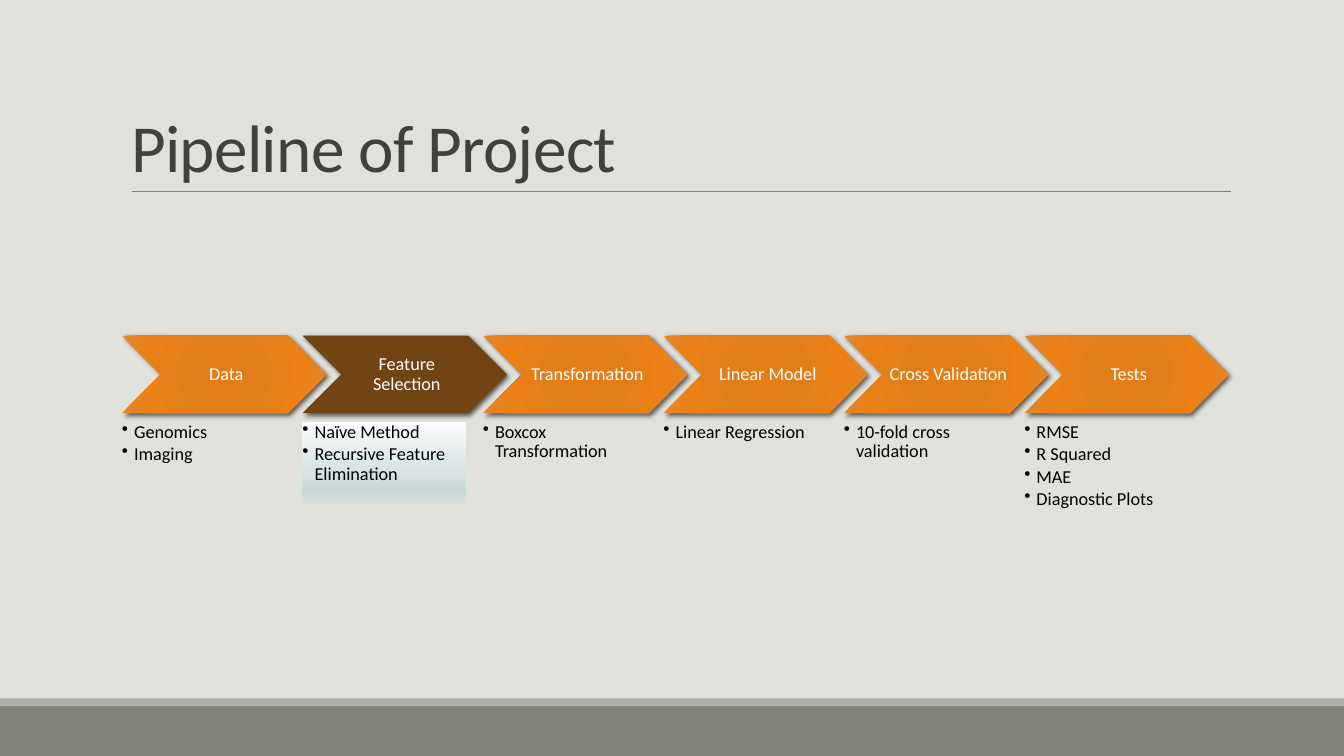
from lxml import etree
from pptx import Presentation
from pptx.dml.color import RGBColor
from pptx.enum.dml import MSO_FILL
from pptx.enum.shapes import MSO_CONNECTOR, MSO_SHAPE
from pptx.enum.text import MSO_ANCHOR, MSO_AUTO_SIZE, PP_ALIGN
from pptx.oxml.ns import nsdecls, qn
from pptx.oxml import parse_xml
from pptx.util import Pt

SCALE = 9144
RECT, CHEVRON = MSO_SHAPE.RECTANGLE, MSO_SHAPE.CHEVRON
LINE = MSO_CONNECTOR.STRAIGHT
TOP, MIDDLE, BOTTOM = MSO_ANCHOR.TOP, MSO_ANCHOR.MIDDLE, MSO_ANCHOR.BOTTOM
LEFT, CENTER = PP_ALIGN.LEFT, PP_ALIGN.CENTER
NO_FIT = MSO_AUTO_SIZE.NONE
SOLID = MSO_FILL.SOLID
FONT = "Calibri"

ORANGE = [(0, "E47D16"), (34, "E27E1A"), (70, "EA8016"), (100, "E48629")]
MIST = [(0, "FAFCFC"), (58, "D3E2E2"), (73, "C4D9D8"), (94, "E1E1DB")]
RADIAL = ('<a:path path="circle"><a:fillToRect l="100000" t="100000" '
          'r="100000" b="100000"/></a:path>')
DOWN = '<a:lin ang="5400000" scaled="0"/>'
SHADOW = ('<a:outerShdw {} blurRad="44450" dist="25400" dir="2700000" '
          'algn="br" rotWithShape="0"><a:srgbClr val="000000">'
          '<a:alpha val="60000"/></a:srgbClr></a:outerShdw>')

ACTIVE = "Feature Selection"
STEPS = [
    ("Data", ["Genomics", "Imaging"]),
    (ACTIVE, ["Naïve Method", "Recursive Feature Elimination"]),
    ("Transformation", ["Boxcox Transformation"]),
    ("Linear Model", ["Linear Regression"]),
    ("Cross Validation", ["10-fold cross validation"]),
    ("Tests", ["RMSE", "R Squared", "MAE", "Diagnostic Plots"]),
]


def px(*nums):
    return [num * SCALE for num in nums]


def paint(target, color):
    if target.type != SOLID:
        target.solid()
    target.fore_color.rgb = RGBColor.from_string(color)


def blend(shape, stops, course):
    marks = "".join(f'<a:gs pos="{pos * 1000}"><a:srgbClr val="{color}"/></a:gs>'
                    for pos, color in stops)
    shape.fill.background()
    props = shape.element.spPr
    grad = parse_xml(f'<a:gradFill {nsdecls("a")} rotWithShape="1">'
                     f'<a:gsLst>{marks}</a:gsLst>{course}</a:gradFill>')
    props.replace(props.find(qn("a:noFill")), grad)


def add_block(slide, kind, box):
    shape = slide.shapes.add_shape(kind, *px(*box))
    shape.shadow.inherit = False
    shape.line.fill.background()
    return shape


def set_text(shape, lines, size, color, pads, anchor, align, space):
    frame = shape.text_frame
    frame.text = "\n".join(lines)
    frame.word_wrap = True
    frame.auto_size = NO_FIT
    frame.vertical_anchor = anchor
    (frame.margin_left, frame.margin_top,
     frame.margin_right, frame.margin_bottom) = px(*pads)
    for para in frame.paragraphs:
        para.alignment = align
        para.line_spacing = space
        for run in para.runs:
            run.font.name = FONT
            run.font.size = Pt(size)
            paint(run.font.fill, color)
    return frame


def add_base(slide, box):
    left, top, width, height = box
    edge = 7
    for place, color in [((left, top + edge, width, height - edge), "82847C"),
                         ((left, top, width, edge), "ACADA8")]:
        paint(add_block(slide, RECT, place).fill, color)


def add_title(slide, box):
    left, top, width, height = box
    title = slide.shapes.title
    title.left, title.top, title.width, title.height = px(*box)
    frame = set_text(title, ["Pipeline of Project"], 48, "404040",
                     (10, 5, 10, 5), BOTTOM, LEFT, 0.85)
    frame.paragraphs[0].runs[0].font._element.set("spc", "-50")
    base = top + height
    rule = slide.shapes.add_connector(
        LINE, *px(left + 11, base, left + width + 1, base))
    paint(rule.line.fill, "808080")
    rule.line.width = Pt(0.5)
    etree.SubElement(rule.element.spPr, qn("a:effectLst"))


def add_arrow(slide, box, name):
    arrow = add_block(slide, CHEVRON, box)
    if name == ACTIVE:
        paint(arrow.fill, "724314")
    else:
        blend(arrow, ORANGE, RADIAL)
    effects = arrow.element.spPr.find(qn("a:effectLst"))
    effects.append(parse_xml(SHADOW.format(nsdecls("a"))))
    set_text(arrow, [name], 13, "FFFFFF", (6, 2, 2, 2), MIDDLE, CENTER, 0.9)


def add_list(slide, box, items, lit):
    area = slide.shapes.add_textbox(*px(*box))
    if lit:
        blend(area, MIST, DOWN)
    frame = set_text(area, items, 13, "000000", (0, 0, 0, 0), TOP, LEFT, 0.9)
    indent = 12 * SCALE
    for para in frame.paragraphs:
        para.level = 1
        para.space_after = Pt(2)
        props = para._p.get_or_add_pPr()
        props.set("marL", str(indent))
        props.set("indent", str(-indent))
        etree.SubElement(props, qn("a:buChar")).set("char", "•")


def add_steps(slide, box):
    left, top, width, height = box
    wide, tall, drop = 203, 77, 86
    pitch = (width - wide) // (len(STEPS) - 1)
    for order, (name, items) in enumerate(STEPS):
        start = left + order * pitch
        add_arrow(slide, (start, top, wide, tall), name)
        add_list(slide, (start, top + drop, 162, height - drop),
                 items, name == ACTIVE)


def main():
    deck = Presentation()
    deck.slide_width, deck.slide_height = px(1333, 750)
    slide = deck.slides.add_slide(deck.slide_layouts[5])
    paint(slide.background.fill, "E1E1DB")
    add_base(slide, (0, 693, 1333, 57))
    add_title(slide, (120, 31, 1100, 159))
    add_steps(slide, (121, 333, 1098, 177))
    deck.save("out.pptx")


if __name__ == "__main__":
    main()
